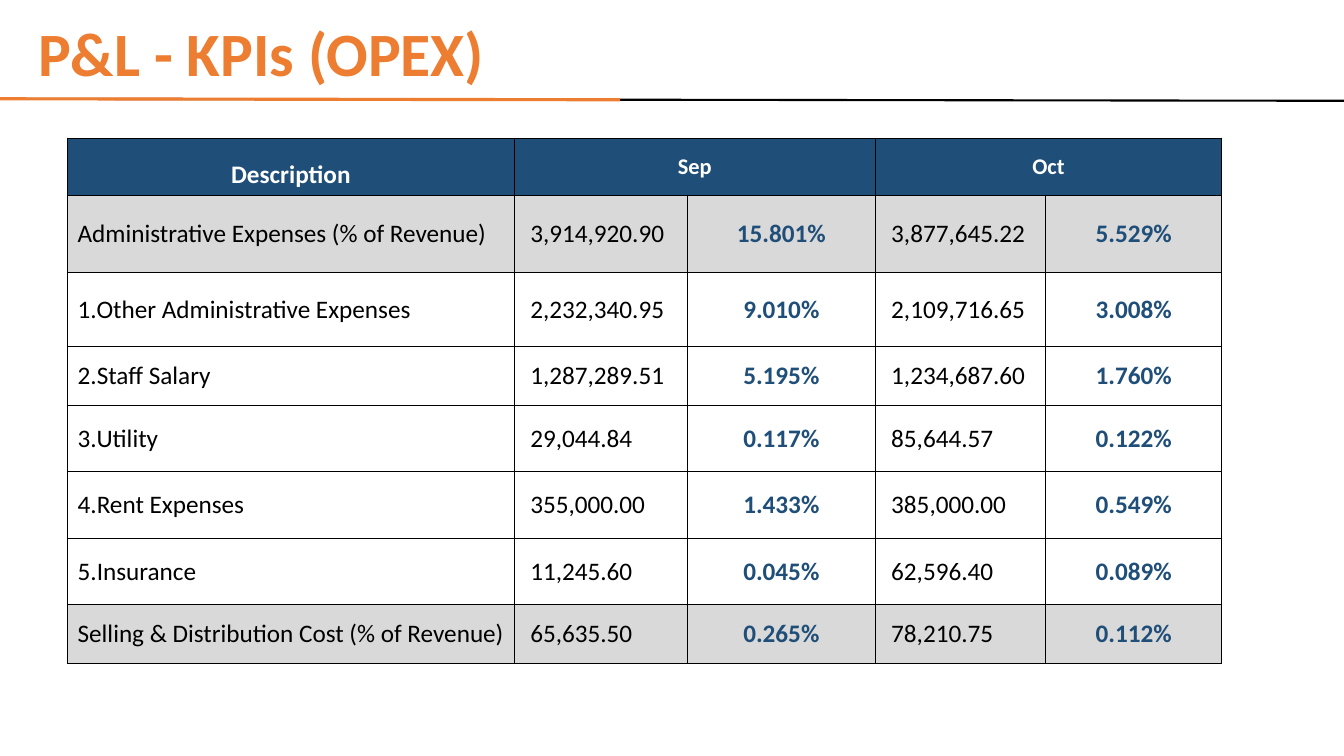
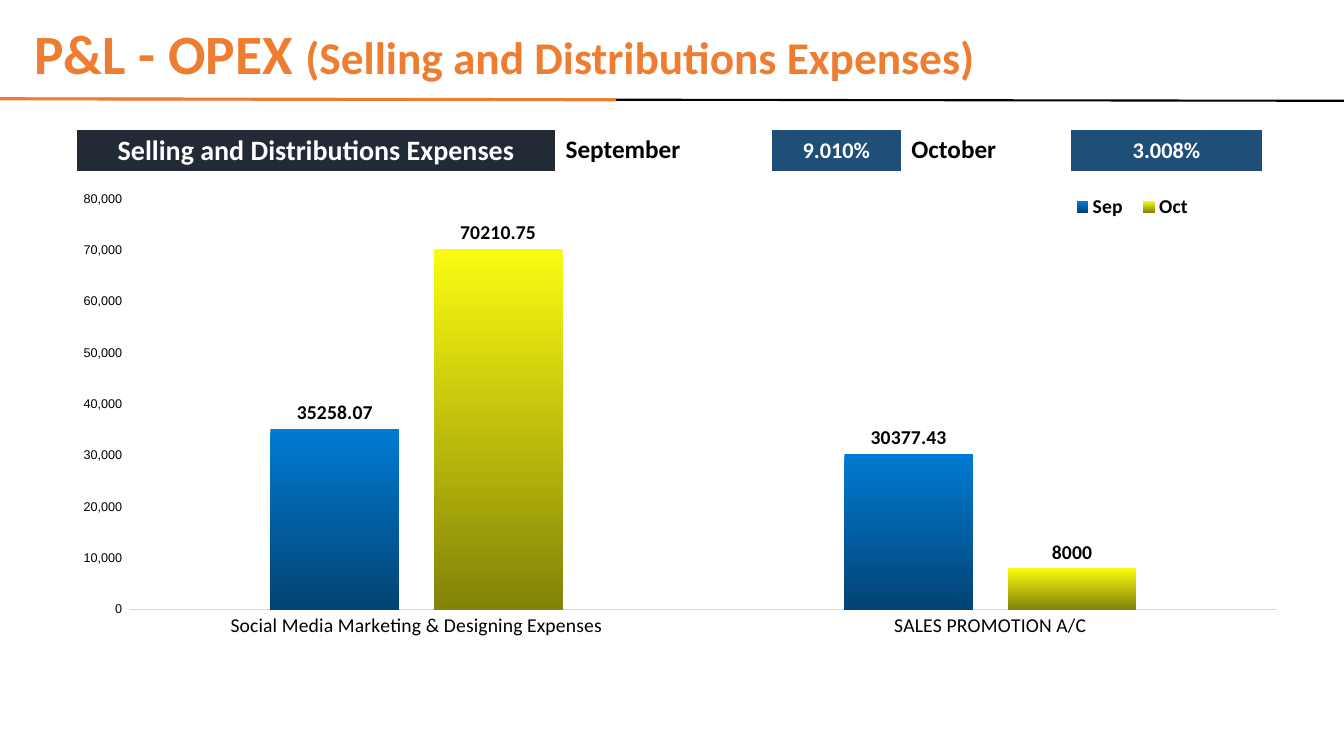
from dataclasses import dataclass

from lxml import etree
from pptx import Presentation
from pptx.chart.data import CategoryChartData
from pptx.dml.color import RGBColor
from pptx.enum.chart import XL_CHART_TYPE, XL_LABEL_POSITION, XL_LEGEND_POSITION, XL_TICK_MARK
from pptx.enum.shapes import MSO_CONNECTOR
from pptx.enum.text import MSO_ANCHOR, PP_ALIGN
from pptx.oxml.ns import qn
from pptx.util import Inches, Pt

LEFT, CENTER = PP_ALIGN.LEFT, PP_ALIGN.CENTER
TOP, MIDDLE, BOTTOM = MSO_ANCHOR.TOP, MSO_ANCHOR.MIDDLE, MSO_ANCHOR.BOTTOM
STRAIGHT = MSO_CONNECTOR.STRAIGHT
COLUMNS = XL_CHART_TYPE.COLUMN_CLUSTERED
OUTSIDE_END = XL_LABEL_POSITION.OUTSIDE_END
LEGEND_BOTTOM = XL_LEGEND_POSITION.BOTTOM
NO_TICK = XL_TICK_MARK.NONE

FONT = "Calibri"
SLIDE_WIDTH = 13.33
COLORS = {
    "orange": "ED7D31",
    "black": "000000",
    "white": "FFFFFF",
    "header": "1F4E78",
    "blue": "1F4E79",
    "navy": "222A35",
    "gray": "D9D9D9",
    "sep_top": "007BD3",
    "sep_bottom": "034373",
    "oct_top": "FBFB11",
    "oct_bottom": "838309",
}


@dataclass(frozen=True)
class CellStyle:
    fill: str
    color: str
    size: float = 18
    bold: bool = True
    align: PP_ALIGN = CENTER
    anchor: MSO_ANCHOR = MIDDLE
    indent: float = 0.1


@dataclass(frozen=True)
class Borders:
    color: str
    width: float
    bottom: float


@dataclass(frozen=True)
class Month:
    name: str
    values: tuple[float, ...]
    top: str
    bottom: str


KPI_COLUMNS = (4.43, 1.72, 1.86, 1.69, 1.75)
KPI_HEIGHTS = (0.57, 0.76, 0.74, 0.58, 0.66, 0.66, 0.66, 0.58)
KPI_ROWS = (
    ("Administrative Expenses (% of Revenue)", "3,914,920.90", "15.801%", "3,877,645.22", "5.529%"),
    ("1.Other Administrative Expenses", "2,232,340.95", "9.010%", "2,109,716.65", "3.008%"),
    ("2.Staff Salary", "1,287,289.51", "5.195%", "1,234,687.60", "1.760%"),
    ("3.Utility", "29,044.84", "0.117%", "85,644.57", "0.122%"),
    ("4.Rent Expenses", "355,000.00", "1.433%", "385,000.00", "0.549%"),
    ("5.Insurance", "11,245.60", "0.045%", "62,596.40", "0.089%"),
    ("Selling & Distribution Cost (% of Revenue)", "65,635.50", "0.265%", "78,210.75", "0.112%"),
)
SUMMARY_COLUMNS = (4.75, 2.14, 1.29, 1.68, 1.9)
EXPENSES = ("Social Media Marketing & Designing Expenses", "SALES PROMOTION A/C")
MONTHS = (
    Month("Sep", (35258.07, 30377.43), "sep_top", "sep_bottom"),
    Month("Oct", (70210.75, 8000), "oct_top", "oct_bottom"),
)


def rgb(color: str) -> RGBColor:
    return RGBColor.from_string(COLORS[color])


def set_font(font, size: float, color: str = "black", bold: bool = False, name: str = FONT) -> None:
    font.name, font.size, font.bold = name, Pt(size), bold
    font.color.rgb = rgb(color)


def add_rule(slide, end: tuple[float, float], color: str, width: float) -> None:
    """Draw a header line from the left slide edge."""
    rule = slide.shapes.add_connector(
        STRAIGHT, Inches(0), Inches(0.98), Inches(end[0]), Inches(end[1]))
    rule.line.color.rgb = rgb(color)
    rule.line.width = Pt(width)
    etree.SubElement(rule._element.spPr, qn("a:effectLst"))


def add_header(slide, left: float, parts: tuple[tuple[str, float], ...]) -> None:
    """Add the title, given as (text, size) parts, and the two lines below it."""
    add_rule(slide, (SLIDE_WIDTH, 1), "black", 1.5)
    frame = slide.shapes.add_textbox(
        Inches(left), Inches(0.11), Inches(9.96), Inches(0.91)).text_frame
    frame.word_wrap = True
    frame.vertical_anchor = MIDDLE
    title = frame.paragraphs[0]
    title.line_spacing = 0.9
    set_font(title.font, parts[0][1], "orange", bold=True)
    for text, size in parts:
        run = title.add_run()
        run.text = text
        run.font.size = Pt(size)
    add_rule(slide, (left + 5.87, 0.99), "orange", 2.25)


def set_borders(cell, borders: Borders) -> None:
    properties = cell._tc.get_or_add_tcPr()
    for side in ("lnL", "lnR", "lnT", "lnB"):
        width = borders.bottom if side == "lnB" else borders.width
        line = etree.SubElement(properties, qn(f"a:{side}"), w=str(Pt(width)))
        fill = etree.SubElement(line, qn("a:solidFill"))
        etree.SubElement(fill, qn("a:srgbClr"), val=COLORS[borders.color])


def fill_cell(cell, text: str, style: CellStyle, borders: Borders) -> None:
    set_borders(cell, borders)
    cell.fill.solid()
    cell.fill.fore_color.rgb = rgb(style.fill)
    cell.vertical_anchor = style.anchor
    cell.margin_left = Inches(style.indent)
    paragraph = cell.text_frame.paragraphs[0]
    paragraph.text = text
    paragraph.alignment = style.align
    set_font(paragraph.font, style.size, style.color, style.bold)


def add_grid(slide, left: float, top: float, widths: tuple[float, ...], heights: tuple[float, ...]):
    """Add an unstyled table with the given column widths and row heights."""
    table = slide.shapes.add_table(
        len(heights), len(widths), Inches(left), Inches(top),
        Inches(sum(widths)), Inches(sum(heights))).table
    table.first_row = table.horz_banding = False
    for column, width in zip(table.columns, widths):
        column.width = Inches(width)
    for row, height in zip(table.rows, heights):
        row.height = Inches(height)
    return table


def add_kpi_table(slide) -> None:
    table = add_grid(slide, 0.67, 1.37, KPI_COLUMNS, KPI_HEIGHTS)
    borders = Borders("black", 0.75, 0.75)
    month = CellStyle("header", "white", 16)
    description = CellStyle("header", "white", anchor=BOTTOM)
    headings = (("Description", description), ("Sep", month), ("", month), ("Oct", month), ("", month))
    for column, (text, style) in enumerate(headings):
        fill_cell(table.cell(0, column), text, style, borders)
    for column in (1, 3):
        table.cell(0, column).merge(table.cell(0, column + 1))

    for row, texts in enumerate(KPI_ROWS, start=1):
        fill = "gray" if row in (1, len(KPI_ROWS)) else "white"
        label = CellStyle(fill, "black", bold=False, align=LEFT)
        amount = CellStyle(fill, "black", bold=False, align=LEFT, indent=0.16)
        share = CellStyle(fill, "blue")
        for column, (text, style) in enumerate(zip(texts, (label, amount, share, amount, share))):
            fill_cell(table.cell(row, column), text, style, borders)


def add_summary_table(slide) -> None:
    table = add_grid(slide, 0.76, 1.28, SUMMARY_COLUMNS, (0.43,))
    heading = CellStyle("navy", "white", 20, anchor=TOP)
    month = CellStyle("white", "black", align=LEFT, anchor=TOP)
    share = CellStyle("blue", "white", 16)
    entries = (
        ("Selling and Distributions Expenses", heading),
        ("September", month),
        ("9.010%", share),
        ("October", month),
        ("3.008%", share),
    )
    for column, (text, style) in enumerate(entries):
        fill_cell(table.cell(0, column), text, style, Borders("white", 1, 3))


def set_layout(part, position: int, box: tuple[float, ...], inner: bool = False) -> None:
    """Place a chart part by fractions of the chart: left, top, width, height."""
    for old in part.findall(qn("c:layout")):
        part.remove(old)
    layout = etree.Element(qn("c:layout"))
    manual = etree.SubElement(layout, qn("c:manualLayout"))
    if inner:
        etree.SubElement(manual, qn("c:layoutTarget"), val="inner")
    for mode in ("xMode", "yMode"):
        etree.SubElement(manual, qn(f"c:{mode}"), val="edge")
    for key, value in zip("xywh", box):
        etree.SubElement(manual, qn(f"c:{key}"), val=str(value))
    part.insert(position, layout)


def style_series(series, month: Month) -> None:
    series.invert_if_negative = False
    fill = series.format.fill
    fill.gradient()
    fill.gradient_angle = 270
    for stop, color, position in zip(fill.gradient_stops, (month.top, month.bottom), (0, 1)):
        stop.color.rgb = rgb(color)
        stop.position = position
    labels = series.data_labels
    labels.show_value = True
    labels.position = OUTSIDE_END
    set_font(labels.font, 14, bold=True)


def add_expense_chart(slide) -> None:
    data = CategoryChartData()
    data.categories = EXPENSES
    for month in MONTHS:
        data.add_series(month.name, month.values)
    chart = slide.shapes.add_chart(
        COLUMNS, Inches(0.41), Inches(1.71), Inches(12.51), Inches(5.29), data).chart
    chart.has_title = False
    set_font(chart.font, 10)
    plot = chart.plots[0]
    plot.vary_by_categories = False
    plot.gap_width, plot.overlap = 219, -27
    for series, month in zip(plot.series, MONTHS):
        style_series(series, month)

    expenses, amounts = chart.category_axis, chart.value_axis
    for axis in (expenses, amounts):
        axis.major_tick_mark = axis.minor_tick_mark = NO_TICK
        axis.has_major_gridlines = False
    set_font(expenses.tick_labels.font, 14)
    expenses.format.line.color.rgb = rgb("gray")
    expenses.format.line.width = Pt(0.75)
    set_font(amounts.tick_labels.font, 9, name="Arial")
    amounts.tick_labels.number_format = "#,##0_);[Red]\\(#,##0\\)"
    amounts.tick_labels.number_format_is_linked = False
    amounts.format.line.fill.background()
    amounts.minimum_scale, amounts.maximum_scale, amounts.major_unit = 0, 80000, 10000

    chart.has_legend = True
    legend = chart.legend
    legend.position = LEGEND_BOTTOM
    legend.include_in_layout = False
    set_font(legend.font, 14, bold=True)
    set_layout(legend._element, 1, (0.81, 0.03, 0.11, 0.07))
    set_layout(chart._chartSpace.chart.plotArea, 0, (0.07, 0.05, 0.91, 0.77), inner=True)


def main() -> None:
    deck = Presentation()
    deck.slide_width, deck.slide_height = Inches(SLIDE_WIDTH), Inches(7.5)
    blank = deck.slide_layouts[6]

    kpis = deck.slides.add_slide(blank)
    add_header(kpis, 0.28, (("P&L - KPIs (OPEX)", 44),))
    add_kpi_table(kpis)

    selling = deck.slides.add_slide(blank)
    add_header(selling, 0.24, (("P&L - OPEX ", 39.6), ("(Selling and Distributions Expenses)", 32.4)))
    add_summary_table(selling)
    add_expense_chart(selling)

    deck.save("out.pptx")


if __name__ == "__main__":
    main()
